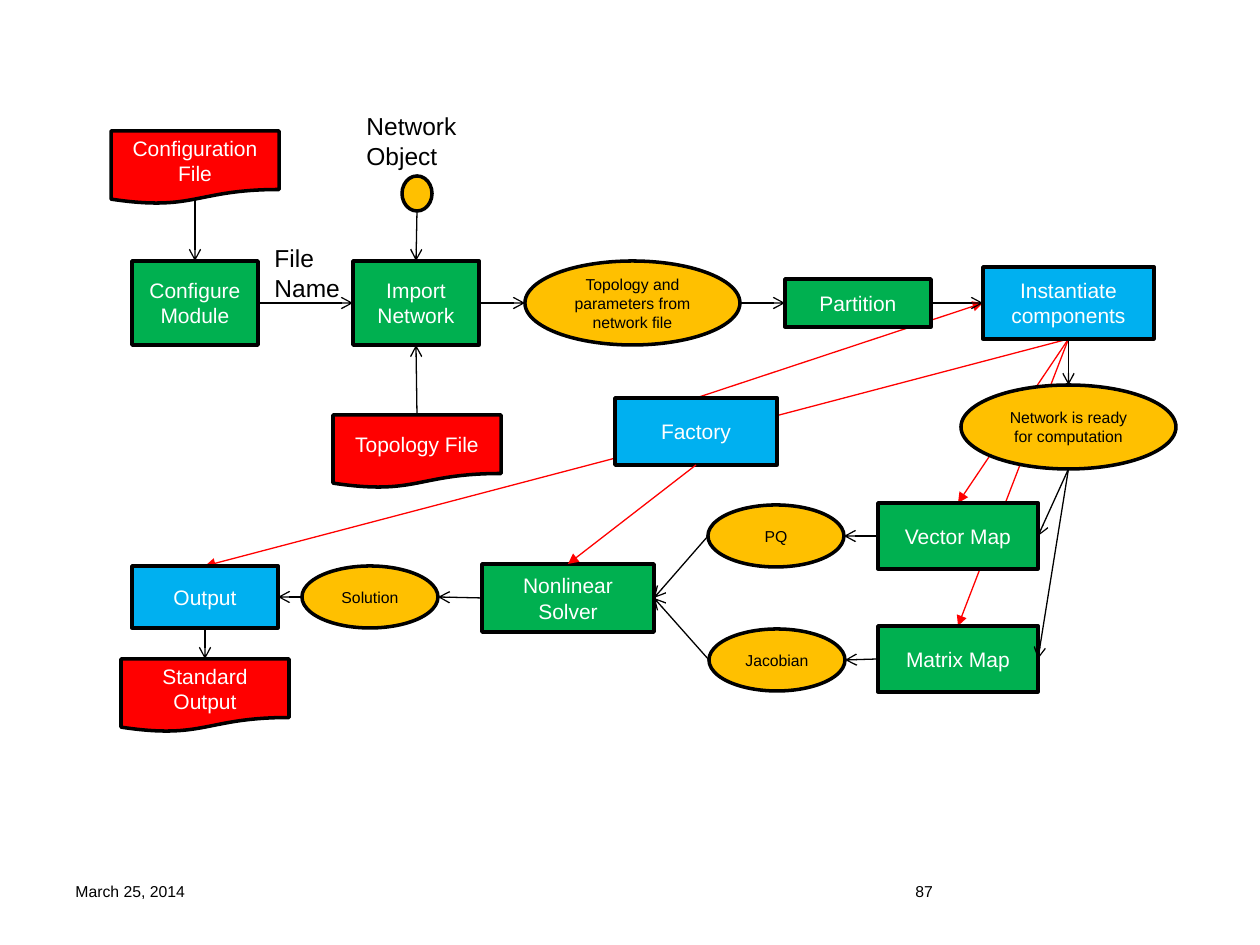
import dataclasses
import enum

import lxml.etree
import pptx
import pptx.dml.color
import pptx.enum.shapes
import pptx.enum.text
import pptx.oxml.ns
import pptx.util

EMU_PER_PX = 914400 / 126
FONT = "Arial"

RGB = pptx.dml.color.RGBColor
BLACK = RGB(0x00, 0x00, 0x00)
WHITE = RGB(0xFF, 0xFF, 0xFF)
RED = RGB(0xFF, 0x00, 0x00)
GREEN = RGB(0x00, 0xB0, 0x50)
BLUE = RGB(0x00, 0xB0, 0xF0)
AMBER = RGB(0xFF, 0xC0, 0x00)

SHAPES = pptx.enum.shapes.MSO_SHAPE


class Side(enum.Enum):
    TOP = (0.5, 0)
    LEFT = (0, 0.5)
    BOTTOM = (0.5, 1)
    RIGHT = (1, 0.5)


@dataclasses.dataclass(frozen=True)
class Style:
    preset: SHAPES
    fill: RGB
    ink: RGB = WHITE
    size: int = 12
    foot: float = 1


@dataclasses.dataclass(frozen=True)
class Node:
    style: Style
    text: str
    left: int
    top: int
    width: int
    height: int

    def point(self, side: Side) -> tuple[float, float]:
        across, down = side.value
        if side is Side.BOTTOM:
            down = self.style.foot
        return self.left + across * self.width, self.top + down * self.height


@dataclasses.dataclass(frozen=True)
class Link:
    start: Node
    start_side: Side
    end: Node
    end_side: Side
    color: RGB = BLACK
    head: str = "arrow"


@dataclasses.dataclass(frozen=True)
class Label:
    lines: tuple[str, ...]
    left: int
    top: int
    width: int
    height: int
    size: int
    wrap: bool = True


FILE = Style(SHAPES.FLOWCHART_DOCUMENT, RED, foot=0.93)
PROCESS = Style(SHAPES.FLOWCHART_PROCESS, GREEN)
STEP = Style(SHAPES.RECTANGLE, GREEN)
BUILDER = Style(SHAPES.RECTANGLE, BLUE)
DATA = Style(SHAPES.OVAL, AMBER, BLACK, 9)

config_file = Node(FILE, "Configuration File", 111, 131, 168, 73)
topology_file = Node(FILE, "Topology File", 333, 415, 168, 73)
configure = Node(PROCESS, "Configure Module", 132, 261, 126, 84)
import_network = Node(PROCESS, "Import Network", 353, 261, 126, 84)
network_object = Node(DATA, "", 402, 176, 30, 35)
topology = Node(DATA, "Topology and parameters from network file", 525, 261, 215, 84)
instantiate = Node(BUILDER, "Instantiate components", 983, 267, 171, 72)
ready = Node(DATA, "Network is ready for computation", 961, 385, 215, 84)
partition = Node(STEP, "Partition", 785, 279, 146, 48)
vector_map = Node(STEP, "Vector Map", 878, 503, 160, 66)
matrix_map = Node(STEP, "Matrix Map", 878, 626, 160, 66)
pq = Node(DATA, "PQ", 708, 505, 136, 62)
jacobian = Node(DATA, "Jacobian", 709, 629, 136, 62)
solver = Node(STEP, "Nonlinear Solver", 482, 564, 172, 68)
solution = Node(DATA, "Solution", 302, 566, 136, 62)
factory = Node(BUILDER, "Factory", 615, 398, 162, 67)
output = Node(BUILDER, "Output", 132, 566, 146, 62)
standard_output = Node(FILE, "Standard Output", 121, 659, 168, 73)

NODES = (
    config_file, topology_file, configure, import_network, network_object,
    topology, instantiate, ready, partition, vector_map, matrix_map, pq,
    jacobian, solver, solution, factory, output, standard_output,
)

BACK_LINKS = (
    Link(instantiate, Side.BOTTOM, output, Side.TOP, RED, "triangle"),
    Link(factory, Side.TOP, instantiate, Side.LEFT, RED, "triangle"),
    Link(instantiate, Side.BOTTOM, vector_map, Side.TOP, RED, "triangle"),
    Link(instantiate, Side.BOTTOM, matrix_map, Side.TOP, RED, "triangle"),
)

FRONT_LINKS = (
    Link(config_file, Side.BOTTOM, configure, Side.TOP),
    Link(configure, Side.RIGHT, import_network, Side.LEFT),
    Link(topology_file, Side.TOP, import_network, Side.BOTTOM),
    Link(network_object, Side.BOTTOM, import_network, Side.TOP),
    Link(import_network, Side.RIGHT, topology, Side.LEFT),
    Link(topology, Side.RIGHT, partition, Side.LEFT),
    Link(partition, Side.RIGHT, instantiate, Side.LEFT),
    Link(instantiate, Side.BOTTOM, ready, Side.TOP),
    Link(ready, Side.BOTTOM, vector_map, Side.RIGHT),
    Link(ready, Side.BOTTOM, matrix_map, Side.RIGHT),
    Link(vector_map, Side.LEFT, pq, Side.RIGHT),
    Link(matrix_map, Side.LEFT, jacobian, Side.RIGHT),
    Link(pq, Side.LEFT, solver, Side.RIGHT),
    Link(jacobian, Side.LEFT, solver, Side.RIGHT),
    Link(solver, Side.LEFT, solution, Side.RIGHT),
    Link(factory, Side.BOTTOM, solver, Side.TOP, RED, "triangle"),
    Link(solution, Side.LEFT, output, Side.RIGHT),
    Link(output, Side.BOTTOM, standard_output, Side.TOP),
)

LABELS = (
    Label(("March 25, 2014",), 63, 876, 294, 50, 9),
    Label(("87",), 903, 876, 294, 50, 9),
    Label(("File", "Name"), 262, 237, 93, 72, 14, wrap=False),
    Label(("Network Object",), 354, 105, 130, 72, 14),
)


def px(length: float) -> pptx.util.Emu:
    return pptx.util.Emu(round(length * EMU_PER_PX))


def add_run(para, text: str, size: int, color: RGB) -> None:
    run = para.add_run()
    run.text = text
    run.font.name = FONT
    run.font.size = pptx.util.Pt(size)
    run.font.color.rgb = color


def draw_node(page, node: Node) -> None:
    style = node.style
    box = page.shapes.add_shape(
        style.preset, px(node.left), px(node.top), px(node.width), px(node.height)
    )
    box.shadow.inherit = False
    box.fill.solid()
    box.fill.fore_color.rgb = style.fill
    box.line.color.rgb = BLACK
    box.line.width = pptx.util.Pt(2)
    if node.text:
        frame = box.text_frame
        frame.word_wrap = True
        frame.vertical_anchor = pptx.enum.text.MSO_ANCHOR.MIDDLE
        para = frame.paragraphs[0]
        para.alignment = pptx.enum.text.PP_ALIGN.CENTER
        add_run(para, node.text, style.size, style.ink)


def draw_link(page, link: Link) -> None:
    start = link.start.point(link.start_side)
    end = link.end.point(link.end_side)
    connector = page.shapes.add_connector(
        pptx.enum.shapes.MSO_CONNECTOR.STRAIGHT, *map(px, start + end)
    )
    connector.line.color.rgb = link.color
    connector.line.width = pptx.util.Pt(0.75)
    qn = pptx.oxml.ns.qn
    properties = connector.element.find(qn("p:spPr"))
    outline = properties.find(qn("a:ln"))
    lxml.etree.SubElement(outline, qn("a:tailEnd"), type=link.head)
    lxml.etree.SubElement(properties, qn("a:effectLst"))


def draw_label(page, label: Label) -> None:
    box = page.shapes.add_textbox(
        px(label.left), px(label.top), px(label.width), px(label.height)
    )
    frame = box.text_frame
    frame.word_wrap = label.wrap
    for index, line in enumerate(label.lines):
        para = frame.add_paragraph() if index else frame.paragraphs[0]
        add_run(para, line, label.size, BLACK)


def main() -> None:
    deck = pptx.Presentation()
    deck.slide_width, deck.slide_height = px(1260), px(945)
    page = deck.slides.add_slide(deck.slide_layouts[6])
    for link in BACK_LINKS:
        draw_link(page, link)
    for node in NODES:
        draw_node(page, node)
    for link in FRONT_LINKS:
        draw_link(page, link)
    for label in LABELS:
        draw_label(page, label)
    deck.save("out.pptx")


if __name__ == "__main__":
    main()
